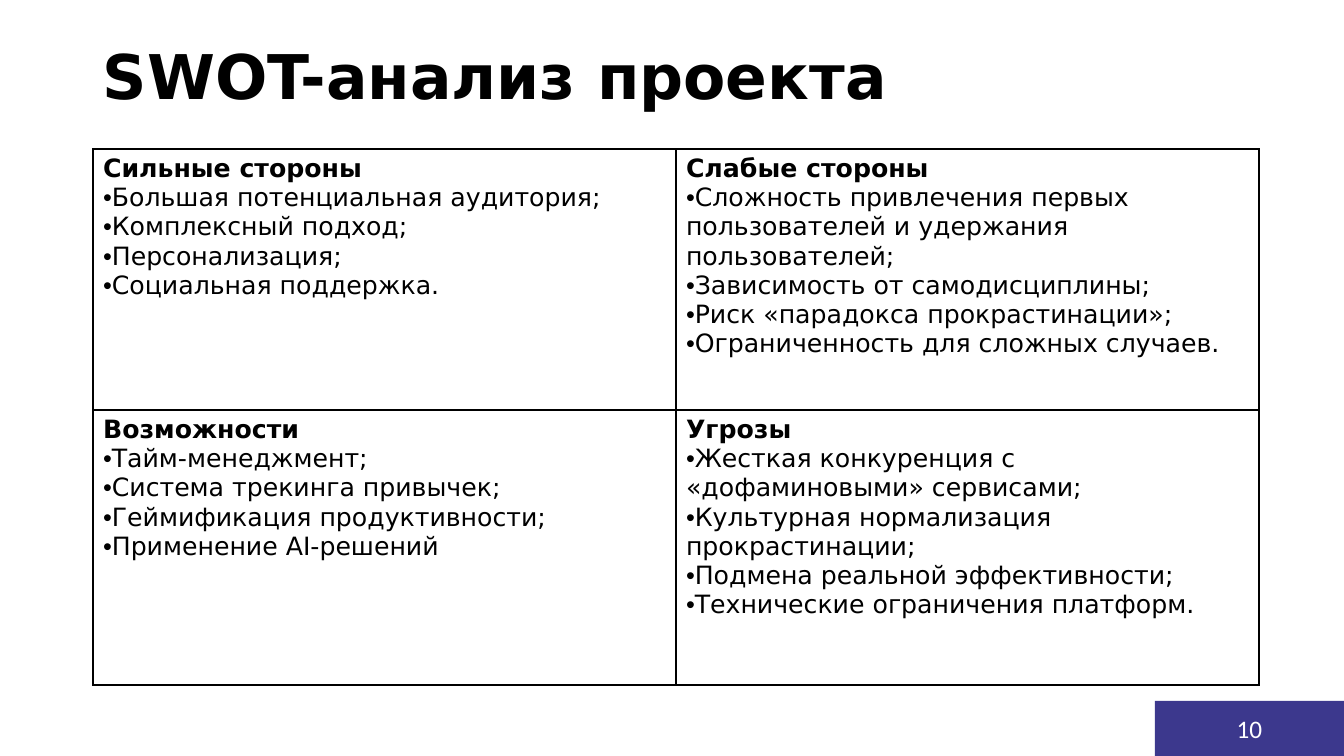
from lxml import etree
from pptx import Presentation
from pptx.dml.color import RGBColor
from pptx.enum.shapes import MSO_SHAPE
from pptx.enum.text import MSO_ANCHOR, PP_ALIGN
from pptx.oxml.ns import qn
from pptx.util import Emu, Pt

RECT = MSO_SHAPE.RECTANGLE
MIDDLE = MSO_ANCHOR.MIDDLE
CENTER = PP_ALIGN.CENTER

SCALE = 12192000 / 1344
COLORS = {"ink": "000000", "paper": "FFFFFF", "badge": "3C388D"}
BODY = "DejaVu Sans"
SWOT = [
    [
        ("Сильные стороны", [
            "Большая потенциальная аудитория;",
            "Комплексный подход;",
            "Персонализация;",
            "Социальная поддержка.",
        ]),
        ("Слабые стороны", [
            "Сложность привлечения первых пользователей и удержания пользователей;",
            "Зависимость от самодисциплины;",
            "Риск «парадокса прокрастинации»;",
            "Ограниченность для сложных случаев.",
        ]),
    ],
    [
        ("Возможности", [
            "Тайм-менеджмент;",
            "Система трекинга привычек;",
            "Геймификация продуктивности;",
            "Применение AI-решений",
        ]),
        ("Угрозы", [
            "Жесткая конкуренция с «дофаминовыми» сервисами;",
            "Культурная нормализация прокрастинации;",
            "Подмена реальной эффективности;",
            "Технические ограничения платформ.",
        ]),
    ],
]


def px(size):
    return Emu(round(size * SCALE))


def color(name):
    return RGBColor.from_string(COLORS[name])


def style(para, size, face=BODY, ink="ink", bold=False):
    for run in para.runs:
        font = run.font
        font.size, font.name, font.bold = Pt(size), face, bold
        font.color.rgb = color(ink)


def add_bullet(para):
    props = para._p.get_or_add_pPr()
    props.set("marL", "0")
    props.set("indent", "0")
    etree.SubElement(props, qn("a:buFont"), typeface="Arial")
    etree.SubElement(props, qn("a:buChar"), char="•")


def add_border(cell):
    """Draw a thin line on all four sides; call before filling the cell."""
    props = cell._tc.get_or_add_tcPr()
    for side in ("lnL", "lnR", "lnT", "lnB"):
        line = etree.SubElement(props, qn(f"a:{side}"), w=str(Pt(1)))
        fill = etree.SubElement(line, qn("a:solidFill"))
        etree.SubElement(fill, qn("a:srgbClr"), val=COLORS["ink"])


def fill_cell(cell, head, items):
    add_border(cell)
    cell.fill.background()
    frame = cell.text_frame
    frame.text = "\n".join([head, *items])
    for i, para in enumerate(frame.paragraphs):
        if i:
            add_bullet(para)
        style(para, 18, bold=i == 0)


def add_title(slide, text):
    box = slide.shapes.add_textbox(px(93), px(19), px(1158), px(121))
    frame = box.text_frame
    frame.word_wrap = True
    frame.vertical_anchor = MIDDLE
    frame.text = text
    para = frame.paragraphs[0]
    para.line_spacing = 0.9
    style(para, 44, bold=True)


def add_grid(slide, rows):
    heights = (261, 275)
    width = 583
    frame = slide.shapes.add_table(
        len(rows), 2, px(93), px(149), px(2 * width), px(sum(heights)))
    table = frame.table
    for col in table.columns:
        col.width = px(width)
    for r, row in enumerate(rows):
        table.rows[r].height = px(heights[r])
        for c, (head, items) in enumerate(row):
            fill_cell(table.cell(r, c), head, items)


def add_badge(slide, text):
    badge = slide.shapes.add_shape(RECT, px(1155), px(701), px(189), px(55))
    badge.shadow.inherit = False
    badge.fill.solid()
    badge.fill.fore_color.rgb = color("badge")
    badge.line.fill.background()
    frame = badge.text_frame
    frame.vertical_anchor = MIDDLE
    frame.text = text
    para = frame.paragraphs[0]
    para.alignment = CENTER
    style(para, 18, "Calibri", "paper")


def main():
    deck = Presentation()
    deck.slide_width, deck.slide_height = px(1344), px(756)
    slide = deck.slides.add_slide(deck.slide_layouts[6])
    add_title(slide, "SWOT-анализ проекта")
    add_grid(slide, SWOT)
    add_badge(slide, "10")
    deck.save("out.pptx")


if __name__ == "__main__":
    main()
